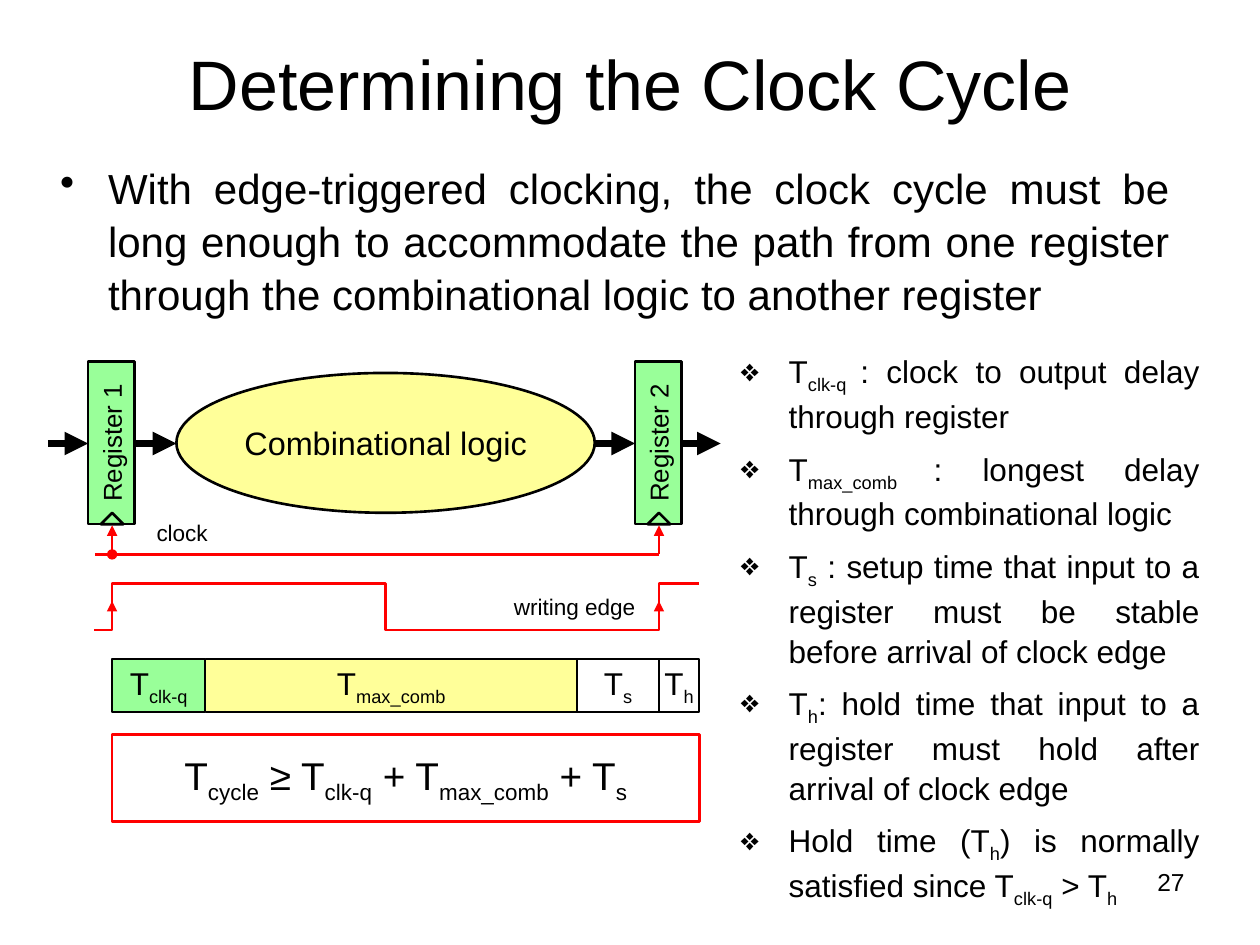
"""Build a slide on how register and logic delays set the clock cycle."""
from lxml import etree
from pptx import Presentation
from pptx.dml.color import RGBColor
from pptx.enum.shapes import MSO_CONNECTOR, MSO_SHAPE
from pptx.enum.text import MSO_ANCHOR, PP_ALIGN
from pptx.oxml.ns import qn
from pptx.util import Inches, Pt

BLACK = RGBColor(0x00, 0x00, 0x00)
WHITE = RGBColor(0xFF, 0xFF, 0xFF)
RED = RGBColor(0xFF, 0x00, 0x00)
GREEN = RGBColor(0x99, 0xFF, 0x99)
YELLOW = RGBColor(0xFF, 0xFF, 0x99)
RECTANGLE, ELLIPSE = MSO_SHAPE.RECTANGLE, MSO_SHAPE.OVAL
TRIANGLE = MSO_SHAPE.ISOSCELES_TRIANGLE
STRAIGHT = MSO_CONNECTOR.STRAIGHT
TOP, MIDDLE = MSO_ANCHOR.TOP, MSO_ANCHOR.MIDDLE
CENTER, JUSTIFY, RIGHT = PP_ALIGN.CENTER, PP_ALIGN.JUSTIFY, PP_ALIGN.RIGHT

prs = Presentation()
prs.slide_width, prs.slide_height = Inches(10), Inches(7.5)
slide = prs.slides.add_slide(prs.slide_layouts[6])
shapes = slide.shapes


def add_box(at, lines=(), size=18, preset=None, fill=None, outline=BLACK, weight=1.5,
            align=CENTER, anchor=MIDDLE, margins=(0, 0), bullet=None):
    """Add a shape or text box; text between tildes becomes subscript."""
    area = [Inches(length) for length in at]
    if preset is None:
        box = shapes.add_textbox(*area)
    else:
        box = shapes.add_shape(preset, *area)
        box.shadow.inherit = False
        box.line.color.rgb = outline
        box.line.width = Pt(weight)
        if fill is None:
            box.fill.background()
        else:
            box.fill.solid()
            box.fill.fore_color.rgb = fill
    frame = box.text_frame
    frame.word_wrap = True
    frame.vertical_anchor = anchor
    frame.margin_left = frame.margin_right = Inches(margins[0])
    frame.margin_top = frame.margin_bottom = Inches(margins[1])
    for index, line in enumerate(lines):
        paragraph = frame.add_paragraph() if index else frame.paragraphs[0]
        paragraph.alignment = align
        if bullet:
            properties = paragraph._p.get_or_add_pPr()
            properties.set("marL", str(Inches(0.38)))
            properties.set("indent", str(-Inches(0.38)))
            etree.SubElement(properties, qn("a:buChar")).set("char", bullet)
            paragraph.line_spacing = 1.05
        if index:
            paragraph.space_before = Pt(0.4 * size)
        paragraph.font.name = "Arial"
        paragraph.font.size = Pt(size)
        paragraph.font.color.rgb = BLACK
        for position, part in enumerate(line.split("~")):
            if part:
                run = paragraph.add_run()
                run.text = part
                if position % 2:
                    run._r.get_or_add_rPr().set("baseline", "-25000")
    return box


def add_line(start, end, color, weight, head=None, tail=None):
    """Add a straight line with optional ends."""
    line = shapes.add_connector(STRAIGHT, *[Inches(length) for length in (*start, *end)])
    line.line.color.rgb = color
    line.line.width = Pt(weight)
    for tag, kind in (("a:headEnd", head), ("a:tailEnd", tail)):
        if kind:
            etree.SubElement(line.line._get_or_add_ln(), qn(tag)).set("type", kind)
    etree.SubElement(line._element.spPr, qn("a:effectLst"))


add_box((0.5, 0.03, 9, 1.25), ["Determining the Clock Cycle"], 40, margins=(0.1, 0.05))
add_box((0.38, 1.22, 9, 1.4),
        ["With edge-triggered clocking, the clock cycle must be long enough to accommodate "
         "the path from one register through the combinational logic to another register"],
        24, align=JUSTIFY, anchor=TOP, margins=(0.1, 0.05), bullet="•")

REGISTER_1_X, REGISTER_2_X = 0.89, 5.23
DATA_Y, CLOCK_Y = 3.52, 4.4

for start_x, end_x in ((0.38, 0.7), (1.07, 1.4), (4.72, 5.04), (5.4, 5.72)):
    add_line((start_x, DATA_Y), (end_x, DATA_Y), BLACK, 4.5, tail="triangle")
add_box((1.4, 2.96, 3.32, 1.11), ["Combinational logic"], 18.5, ELLIPSE, YELLOW)

add_line((REGISTER_2_X, CLOCK_Y), (0.75, CLOCK_Y), RED, 1.5)
for name, x, junction in (("Register 1", REGISTER_1_X, "oval"),
                          ("Register 2", REGISTER_2_X, None)):
    register = add_box((x - 0.65, 3.33, 1.29, 0.37), [name], 14.8, RECTANGLE, GREEN)
    register.rotation = 270
    add_box((x - 0.09, 4.07, 0.18, 0.09), preset=TRIANGLE, fill=GREEN)
    add_line((x, CLOCK_Y), (x, 4.17), RED, 1.5, head=junction, tail="triangle")
add_box((1.12, 4.07, 0.65, 0.31), ["clock"], 12.9)

LOW, HIGH = 5, 4.63
wave_points = [(0.89, LOW), (0.89, HIGH), (3.06, HIGH), (3.06, LOW),
               (5.23, LOW), (5.23, HIGH), (5.55, HIGH)]
wave_builder = shapes.build_freeform(Inches(0.75), Inches(LOW))
wave_builder.add_line_segments([(Inches(x), Inches(y)) for x, y in wave_points], close=False)
clock_wave = wave_builder.convert_to_shape()
clock_wave.shadow.inherit = False
clock_wave.fill.background()
clock_wave.line.color.rgb = RED
clock_wave.line.width = Pt(1.5)
for x in (REGISTER_1_X, REGISTER_2_X):
    add_line((x, 4.86), (x, 4.77), RED, 1, tail="triangle")
add_box((3.98, 4.67, 1.16, 0.28), ["writing edge"], 12.9)

delay_x = REGISTER_1_X
for delay, width, fill in (("T~clk-q~", 0.74, GREEN), ("T~max_comb~", 2.95, YELLOW),
                           ("T~s~", 0.65, None), ("T~h~", 0.32, None)):
    add_box((delay_x, 5.23, width, 0.42), [delay], 18, RECTANGLE, fill, weight=1)
    delay_x += width
add_box((0.89, 5.83, 4.66, 0.69), ["T~cycle~ ≥ T~clk-q~ + T~max_comb~ + T~s~"], 22.1,
        RECTANGLE, WHITE, RED, margins=(0, 0.05))

definitions = [
    "T~clk-q ~: clock to output delay through register",
    "T~max_comb ~: longest delay through combinational logic",
    "T~s~ : setup time that input to a register must be stable before arrival of clock edge",
    "T~h~: hold time that input to a register must hold after arrival of clock edge",
    "Hold time (T~h~) is normally satisfied since T~clk-q~ > T~h~",
]
add_box((5.88, 2.73, 3.64, 4.1), definitions, 18, align=JUSTIFY, anchor=TOP,
        margins=(0, 0.05), bullet="❖")
add_box((7.17, 6.83, 2.33, 0.52), ["27"], 14, align=RIGHT, anchor=TOP, margins=(0.1, 0.05))

prs.save("out.pptx")
